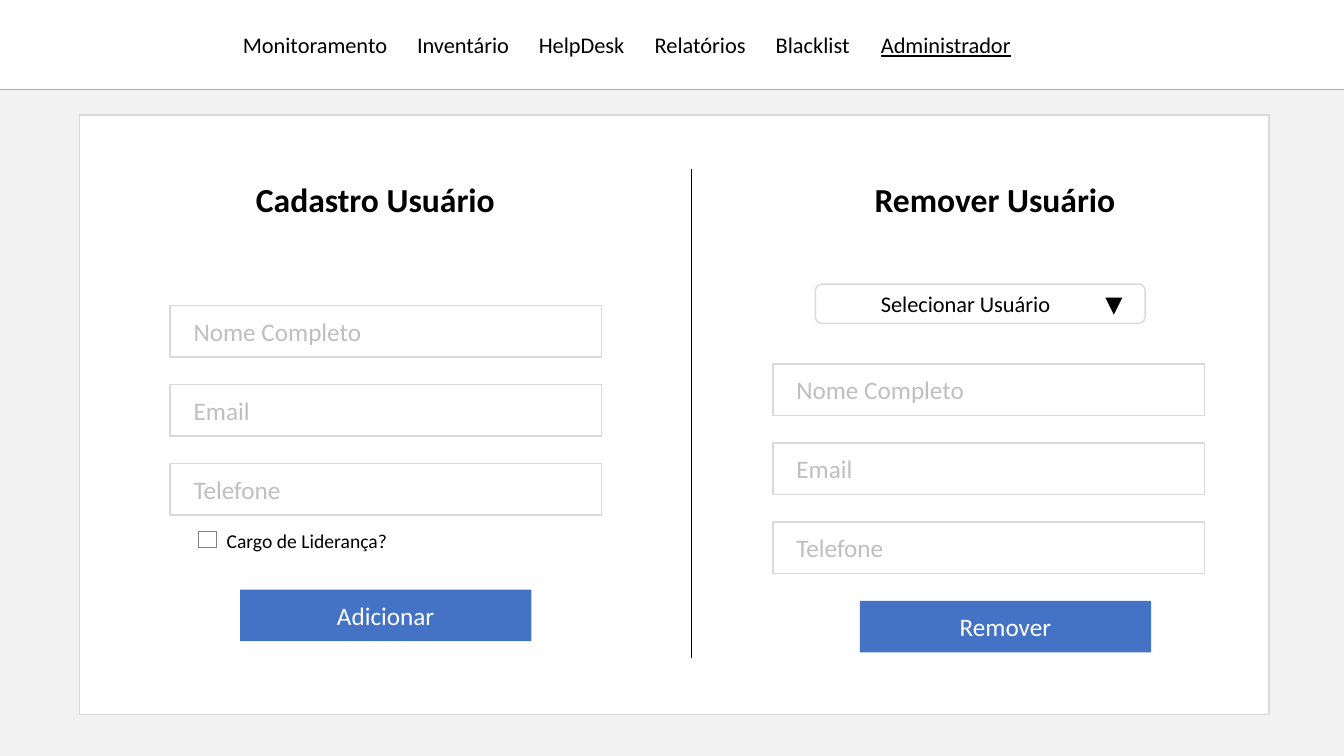
"""Build the user administration screen as one slide."""
from lxml.etree import SubElement
from pptx import Presentation
from pptx.dml.color import RGBColor
from pptx.enum.shapes import MSO_CONNECTOR, MSO_SHAPE
from pptx.enum.text import MSO_ANCHOR, MSO_AUTO_SIZE, PP_ALIGN
from pptx.oxml.ns import qn
from pptx.util import Cm, Pt

WIDTH, HEIGHT = 33.87, 19.05
HEADER = 2.24
COLORS = {
    "black": "000000",
    "white": "FFFFFF",
    "page": "F2F2F2",
    "border": "D9D9D9",
    "rule": "AFABAB",
    "hint": "BFBFBF",
    "check": "808080",
    "button": "4472C4",
}
FIELDS = ["Nome Completo", "Email", "Telefone"]
MENU = ["Monitoramento", "Inventário", "HelpDesk", "Relatórios", "Blacklist"]
STOPS = [4.39, 7.46, 10.38, 13.43, 16.08]


class Screen:
    """Hold the style and the current slide."""

    def __init__(self, slide, font="Calibri"):
        self.slide = slide
        self.font = font

    def color(self, name):
        return RGBColor.from_string(COLORS[name])

    def add_text(self, para, text, size, color, **format):
        run = para.add_run()
        run.text = text
        values = {"name": self.font, "size": Pt(size), **format}
        for key, value in values.items():
            setattr(run.font, key, value)
        run.font.color.rgb = self.color(color)

    def tabs(self, para, stops):
        stop_list = SubElement(para._p.get_or_add_pPr(), qn("a:tabLst"))
        for stop in stops:
            SubElement(stop_list, qn("a:tab"), pos=str(Cm(stop)), algn="l")

    def box(self, area, fill=None, line=None, kind=MSO_SHAPE.RECTANGLE):
        shape = self.slide.shapes.add_shape(kind, *map(Cm, area))
        shape.shadow.inherit = False
        if fill:
            shape.fill.solid()
            shape.fill.fore_color.rgb = self.color(fill)
        else:
            shape.fill.background()
        if line:
            shape.line.color.rgb = self.color(line)
            shape.line.width = Pt(1)
        else:
            shape.line.fill.background()
        return shape

    def label(self, area, text, size, color="black", **format):
        frame = self.slide.shapes.add_textbox(*map(Cm, area)).text_frame
        frame.word_wrap = True
        frame.auto_size = MSO_AUTO_SIZE.SHAPE_TO_FIT_TEXT
        para = frame.paragraphs[0]
        self.add_text(para, text, size, color, **format)
        return para

    def line(self, start, end, color):
        ends = map(Cm, (*start, *end))
        link = self.slide.shapes.add_connector(MSO_CONNECTOR.STRAIGHT, *ends)
        link.line.color.rgb = self.color(color)
        link.line.width = Pt(0.5)
        SubElement(link._element.spPr, qn("a:effectLst"))

    def fields(self, left, top):
        tops = [top + 1.99 * row for row in range(len(FIELDS))]
        for y in tops:
            self.box((left, y, 10.87, 1.3), "white", "border")
        for y, text in zip(tops, FIELDS):
            self.label((left + 0.34, y + 0.14, 6.53, 1.02), text, 18, "hint")

    def button(self, left, top, text):
        frame = self.box((left, top, 7.34, 1.3), "button").text_frame
        frame.vertical_anchor = MSO_ANCHOR.MIDDLE
        para = frame.paragraphs[0]
        para.alignment = PP_ALIGN.CENTER
        self.add_text(para, text, 18, "white")

    def select(self, area, text):
        shape = self.box(area, "white", "border", MSO_SHAPE.ROUNDED_RECTANGLE)
        frame = shape.text_frame
        frame.margin_left = Cm(1.6)
        frame.vertical_anchor = MSO_ANCHOR.MIDDLE
        para = frame.paragraphs[0]
        para.alignment = PP_ALIGN.LEFT
        self.tabs(para, [5.66])
        self.add_text(para, f"{text}\t▼", 16, "black")

    def panel(self, title, left, field, button):
        self.label((left, 4.39, 7.06, 1.27), title, 24, bold=True)
        self.fields(*field)
        self.button(*button)


def main():
    deck = Presentation()
    deck.slide_width, deck.slide_height = Cm(WIDTH), Cm(HEIGHT)
    screen = Screen(deck.slides.add_slide(deck.slide_layouts[6]))

    screen.box((0, HEADER, WIDTH, HEIGHT - HEADER), "page")
    menu = screen.label((5.87, 0.66, 21.51, 0.94), "\t".join(MENU) + "\t", 16)
    screen.tabs(menu, STOPS)
    screen.add_text(menu, "Administrador", 16, "black", underline=True)
    screen.line((0, HEADER), (WIDTH, HEADER), "rule")

    screen.box((2.01, 2.9, 29.97, 15.11), "white", "border")
    screen.panel("Cadastro Usuário", 6.2, (4.29, 7.7), (6.05, 14.86, "Adicionar"))
    screen.line((17.42, 4.27), (17.42, 16.59), "black")
    screen.select((20.55, 7.16, 8.31, 0.99), "Selecionar Usuário")
    screen.panel("Remover Usuário", 21.79, (19.48, 9.17), (21.67, 15.14, "Remover"))
    screen.label((5.46, 13.21, 4.85, 0.86), "Cargo de Liderança?", 14)
    screen.box((5, 13.39, 0.46, 0.41), line="check")

    deck.save("out.pptx")


if __name__ == "__main__":
    main()
